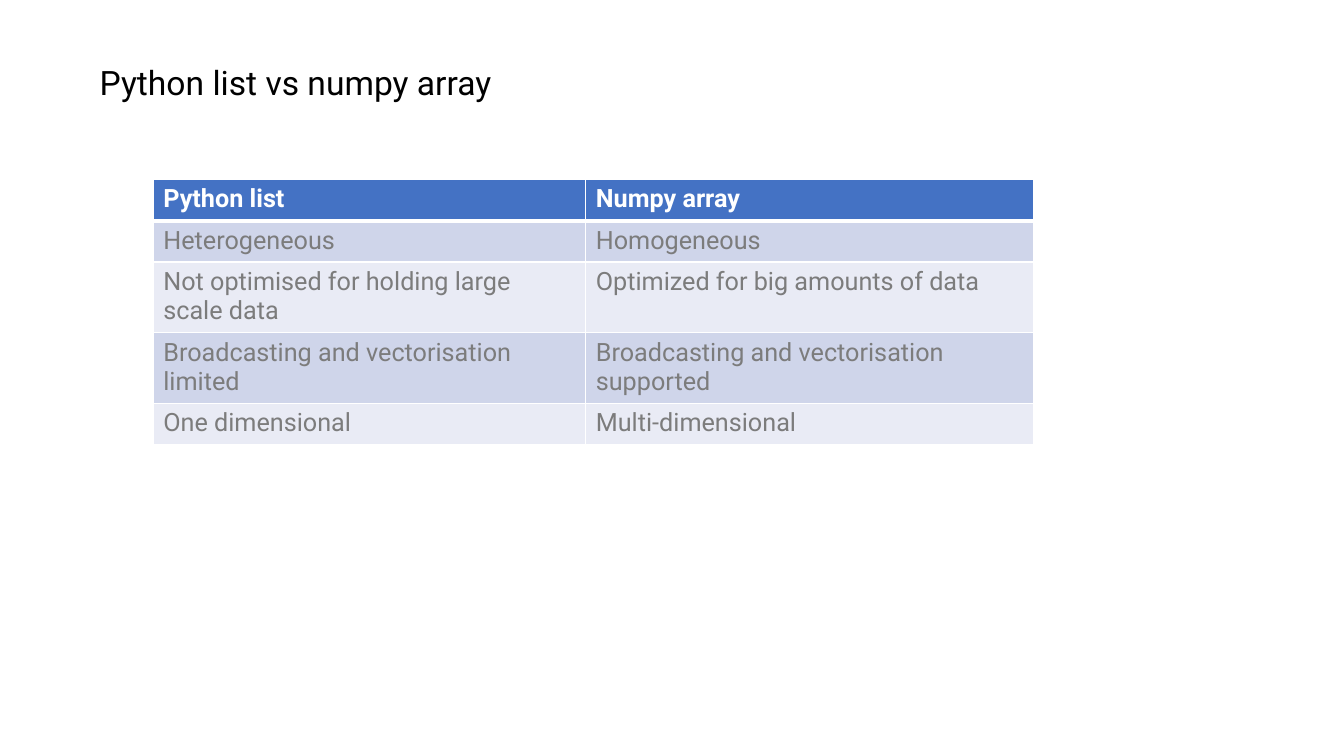
from lxml import etree
from pptx import Presentation
from pptx.dml.color import RGBColor
from pptx.oxml.ns import qn
from pptx.util import Inches, Pt

FONT = "Roboto"
COLORS = {
    "title": "000000",
    "header": "4472C4",
    "header_text": "FFFFFF",
    "band_dark": "CFD5EA",
    "band_light": "E9EBF5",
    "body_text": "7C7C7C",
    "border": "FFFFFF",
}
COMPARISON = [
    ("Python list", "Numpy array"),
    ("Heterogeneous", "Homogeneous"),
    ("Not optimised for holding large scale data", "Optimized for big amounts of data"),
    ("Broadcasting and vectorisation limited", "Broadcasting and vectorisation supported"),
    ("One dimensional", "Multi-dimensional"),
]
COLUMN_WIDTHS = (4.29, 4.44)
ROW_HEIGHT = 0.41


def write(tf, text, size, color, bold=False):
    tf.text = text
    font = tf.paragraphs[0].runs[0].font
    font.name, font.size, font.bold = FONT, Pt(size), bold
    font.color.rgb = RGBColor.from_string(COLORS[color])


def set_borders(cell, widths):
    """Draw borders; widths maps a side (L, R, T, B) to points."""
    tcPr = cell._tc.get_or_add_tcPr()
    for i, (side, width) in enumerate(widths.items()):
        ln = etree.Element(qn(f"a:ln{side}"), w=str(Pt(width)))
        fill = etree.SubElement(ln, qn("a:solidFill"))
        etree.SubElement(fill, qn("a:srgbClr"), val=COLORS["border"])
        tcPr.insert(i, ln)


def add_title(s, text):
    box = s.shapes.add_textbox(Inches(0.89), Inches(0.57), Inches(6.66), Inches(0.5))
    tf = box.text_frame
    tf.word_wrap = True
    write(tf, text, 24, "title")


def add_comparison_table(s, rows):
    frame = s.shapes.add_table(
        len(rows), len(COLUMN_WIDTHS), Inches(1.52), Inches(1.78),
        Inches(sum(COLUMN_WIDTHS)), Inches(ROW_HEIGHT * len(rows)))
    table = frame.table
    for column, width in zip(table.columns, COLUMN_WIDTHS):
        column.width = Inches(width)
    for i, row in enumerate(rows):
        header = i == 0
        band = "header" if header else ("band_light", "band_dark")[i % 2]
        for j, text in enumerate(row):
            cell = table.cell(i, j)
            cell.fill.solid()
            cell.fill.fore_color.rgb = RGBColor.from_string(COLORS[band])
            write(cell.text_frame, text, 18,
                  "header_text" if header else "body_text", header)
            set_borders(cell, {"L": 1, "R": 1,
                               "T": 3 if i == 1 else 1, "B": 3 if header else 1})
    frame.height = Inches(2.62)


def main():
    prs = Presentation()
    prs.slide_width, prs.slide_height = Inches(13.33), Inches(7.5)
    s = prs.slides.add_slide(prs.slide_layouts[6])
    add_title(s, "Python list vs numpy array")
    add_comparison_table(s, COMPARISON)
    prs.save("out.pptx")


if __name__ == "__main__":
    main()
